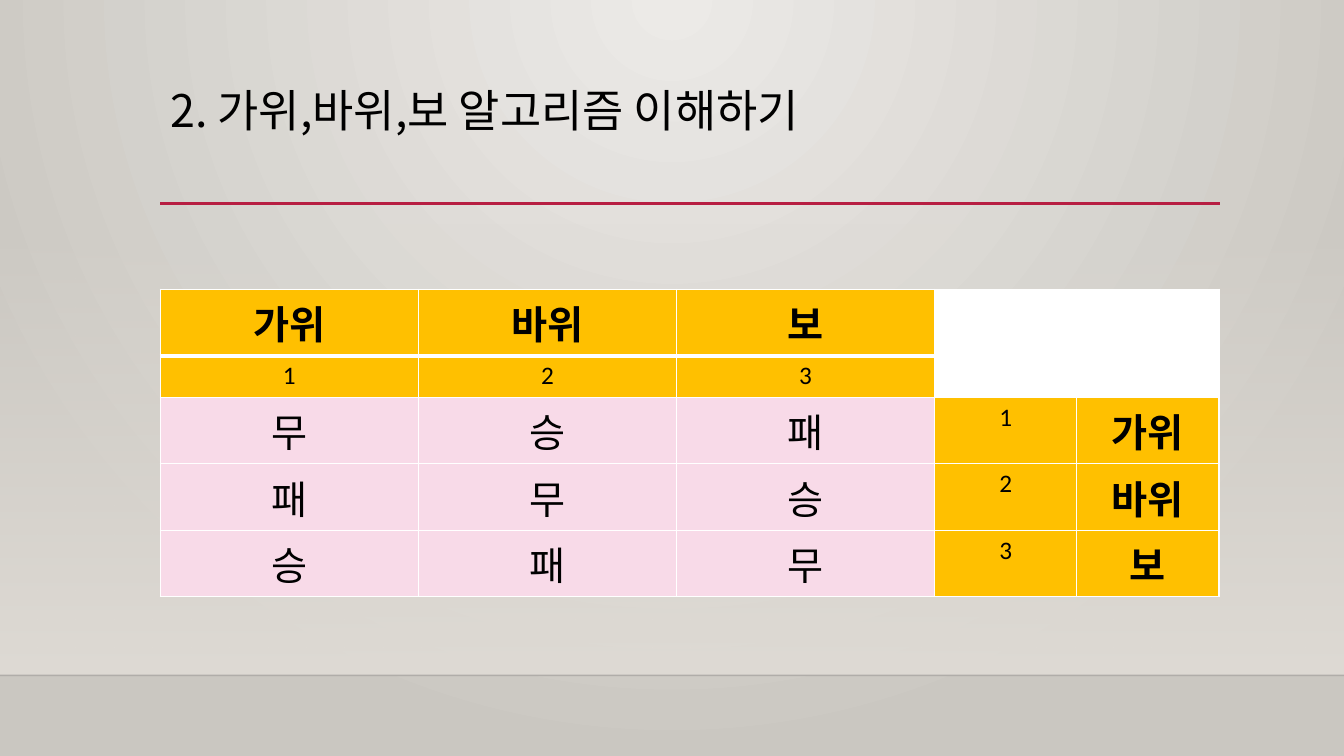
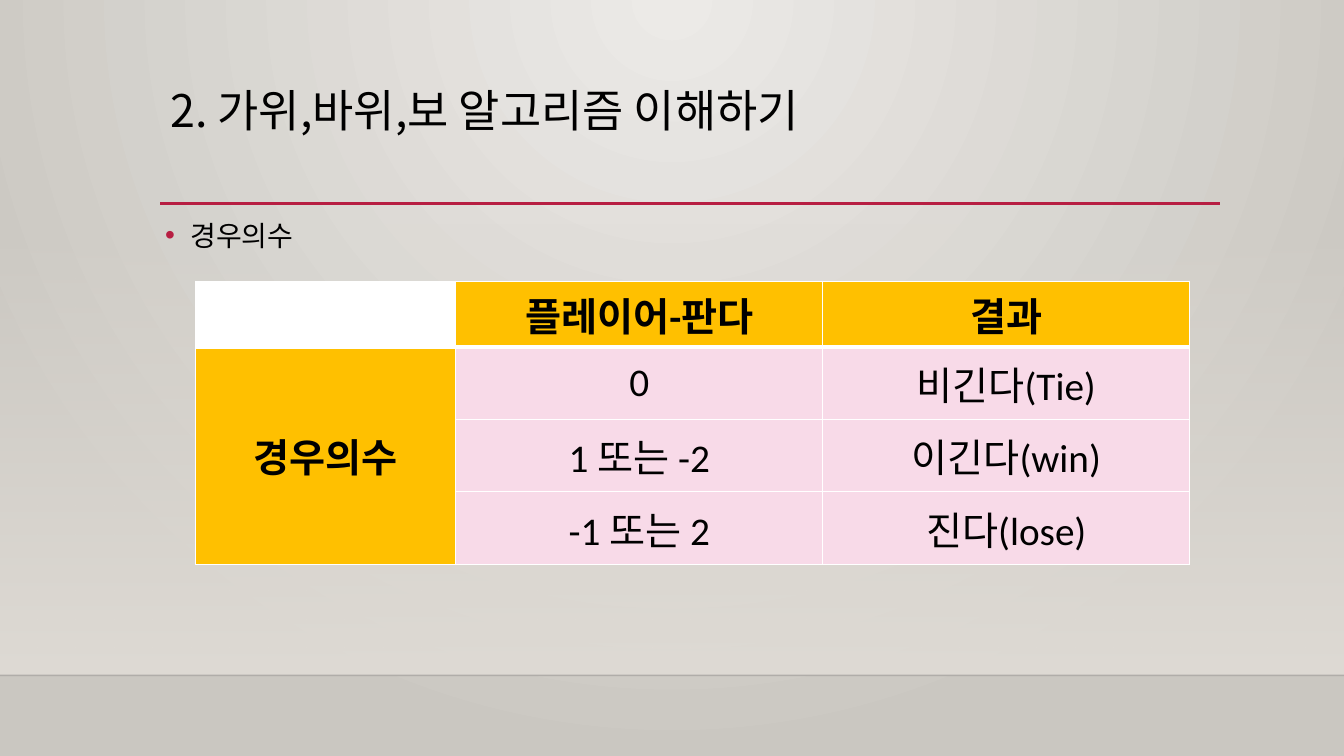
from dataclasses import dataclass

from lxml.etree import SubElement
from pptx import Presentation
from pptx.dml.color import RGBColor
from pptx.enum.shapes import MSO_CONNECTOR, MSO_SHAPE
from pptx.enum.text import MSO_ANCHOR, PP_ALIGN
from pptx.oxml import parse_xml
from pptx.oxml.ns import nsdecls, qn
from pptx.util import Inches, Pt


@dataclass(frozen=True)
class Theme:
    ink: str = "000000"
    edge: str = "000001"
    white: str = "FFFFFF"
    accent: str = "B71E42"
    gold: str = "FFC000"
    pink: str = "F8DAE8"
    glow: str = "ECEAE7"
    shade: str = "CAC7C1"
    haze: str = "DFDBD5"
    korean: str = "Noto Sans CJK KR"
    latin: str = "Calibri"
    title_size: int = 32
    cell_size: int = 28
    bullet_size: int = 20
    number_size: int = 18


def gradient(stops, direction):
    stop_xml = "".join(
        f'<a:gs pos="{pos * 1000}"><a:srgbClr val="{color}">'
        f'<a:alpha val="{alpha * 1000}"/></a:srgbClr></a:gs>'
        for pos, color, alpha in stops
    )
    return parse_xml(
        f'<a:gradFill {nsdecls("a")} rotWithShape="1">'
        f"<a:gsLst>{stop_xml}</a:gsLst>{direction}</a:gradFill>"
    )


def swap_gradient(fill, properties, stops, direction):
    fill.gradient()
    current = properties.find(qn("a:gradFill"))
    properties.replace(current, gradient(stops, direction))


class Deck:
    def __init__(self, theme):
        self.theme = theme
        self.prs = Presentation()
        self.prs.slide_width = Inches(13.33)
        self.prs.slide_height = Inches(7.5)
        self.slide = None
        self.cell_styles = {
            "head": (theme.gold, theme.cell_size, True),
            "number": (theme.gold, theme.number_size, False),
            "body": (theme.pink, theme.cell_size, False),
            "empty": (theme.white, theme.cell_size, False),
        }
        background = self.prs.slide_master.background
        fill = background.fill
        fill.solid()
        swap_gradient(
            fill,
            self.prs.slide_master.element.cSld.find(qn("p:bg")).find(qn("p:bgPr")),
            [(0, theme.glow, 100), (100, theme.shade, 100)],
            '<a:path path="circle"><a:fillToRect l="43000" t="0" r="43000" b="100000"/></a:path>',
        )

    def add_slide(self, title):
        self.slide = self.prs.slides.add_slide(self.prs.slide_layouts[6])
        self.haze_band()
        self.rule(0, 13.33, 6.7, self.theme.edge, 1, 20)
        self.rule(1.59, 12.1, 2.02, self.theme.accent, 2.5)
        self.title(title)

    def haze_band(self):
        band = self.slide.shapes.add_shape(
            MSO_SHAPE.RECTANGLE, 0, Inches(2.21), Inches(13.33), Inches(4.49)
        )
        band.shadow.inherit = False
        band.line.fill.background()
        haze = self.theme.haze
        swap_gradient(
            band.fill,
            band.element.spPr,
            [(0, haze, 0), (100, haze, 100)],
            '<a:lin ang="5400000" scaled="0"/>',
        )

    def rule(self, left, right, y, color, width, opacity=100):
        line = self.slide.shapes.add_connector(
            MSO_CONNECTOR.STRAIGHT, Inches(left), Inches(y), Inches(right), Inches(y)
        )
        line.line.width = Pt(width)
        line.line.color.rgb = RGBColor.from_string(color)
        properties = line.element.spPr
        tint = next(properties.iter(qn("a:srgbClr")))
        SubElement(tint, qn("a:alpha")).set("val", str(opacity * 1000))
        SubElement(properties, qn("a:effectLst"))

    def text_frame(self, left, top, width, height):
        frame = self.slide.shapes.add_textbox(
            Inches(left), Inches(top), Inches(width), Inches(height)
        ).text_frame
        frame.word_wrap = True
        return frame

    def run(self, paragraph, text, size, font, bold=False):
        run = paragraph.add_run()
        run.text = text
        run.font.size = Pt(size)
        run.font.bold = bold
        run.font.color.rgb = RGBColor.from_string(self.theme.ink)
        run.font.name = font
        east_asian = SubElement(run.font._element, qn("a:ea"))
        east_asian.set("typeface", self.theme.korean)

    def title(self, text):
        frame = self.text_frame(1.59, 0.88, 10.5, 1.15)
        frame.margin_top = 0
        paragraph = frame.paragraphs[0]
        paragraph.line_spacing = 0.9
        self.run(paragraph, text, self.theme.title_size, self.theme.korean)

    def bullet(self, text):
        paragraph = self.text_frame(1.54, 2.05, 10.5, 3.77).paragraphs[0]
        paragraph.line_spacing = 1.2
        properties = paragraph._p.get_or_add_pPr()
        properties.set("marL", str(Inches(0.25)))
        properties.set("indent", str(-Inches(0.25)))
        color = SubElement(properties, qn("a:buClr"))
        SubElement(color, qn("a:srgbClr")).set("val", self.theme.accent)
        SubElement(properties, qn("a:buFont")).set("typeface", "Arial")
        SubElement(properties, qn("a:buChar")).set("char", "•")
        self.run(paragraph, text, self.theme.bullet_size, self.theme.korean)

    def borders(self, cell, row_index):
        properties = cell._tc.get_or_add_tcPr()
        widths = {
            "lnL": 1,
            "lnR": 1,
            "lnT": 3 if row_index == 1 else 1,
            "lnB": 3 if row_index == 0 else 1,
        }
        for side, width in widths.items():
            border = SubElement(properties, qn(f"a:{side}"))
            border.set("w", str(Pt(width)))
            solid = SubElement(border, qn("a:solidFill"))
            SubElement(solid, qn("a:srgbClr")).set("val", self.theme.white)

    def table(self, left, top, widths, heights, rows, anchor):
        table = self.slide.shapes.add_table(
            len(rows), len(widths), Inches(left), Inches(top),
            Inches(sum(widths)), Inches(sum(heights)),
        ).table
        table.horz_banding = False
        for column, width in zip(table.columns, widths):
            column.width = Inches(width)
        for row_index, (height, row) in enumerate(zip(heights, rows)):
            table.rows[row_index].height = Inches(height)
            for column_index, (style, text) in enumerate(row):
                cell = table.cell(row_index, column_index)
                color, size, bold = self.cell_styles[style]
                self.borders(cell, row_index)
                cell.fill.solid()
                cell.fill.fore_color.rgb = RGBColor.from_string(color)
                cell.vertical_anchor = anchor
                if text:
                    paragraph = cell.text_frame.paragraphs[0]
                    paragraph.alignment = PP_ALIGN.CENTER
                    self.run(paragraph, text, size, self.theme.latin, bold)
        return table


def styled(style, texts):
    return [(style, text) for text in texts]


def main():
    deck = Deck(Theme())
    title = "2. 가위,바위,보 알고리즘 이해하기"
    hands = ["가위", "바위", "보"]
    numbers = ["1", "2", "3"]
    outcomes = ["무", "승", "패"]
    corner = styled("empty", ["", ""])

    deck.add_slide(title)
    matchups = [styled("head", hands) + corner, styled("number", numbers) + corner]
    for index, (number, hand) in enumerate(zip(numbers, hands)):
        results = [outcomes[(column - index) % 3] for column in range(3)]
        matchups.append(
            styled("body", results) + [("number", number), ("head", hand)]
        )
    deck.table(
        1.59, 2.87, [2.56] * 3 + [1.41] * 2, [0.66, 0.41] + [0.66] * 3,
        matchups, MSO_ANCHOR.TOP,
    )

    deck.add_slide(title)
    cases = [
        ("경우의수", "0", "비긴다(Tie)"),
        ("", "1 또는 -2", "이긴다(win)"),
        ("", "-1 또는 2", "진다(lose)"),
    ]
    case_rows = [[("empty", "")] + styled("head", ["플레이어-판다", "결과"])]
    case_rows += [
        [("head", label)] + styled("body", [difference, result])
        for label, difference, result in cases
    ]
    case_table = deck.table(
        1.94, 2.79, [2.58, 3.64, 3.64], [0.65] + [0.72] * 3,
        case_rows, MSO_ANCHOR.MIDDLE,
    )
    case_table.cell(1, 0).merge(case_table.cell(3, 0))
    deck.bullet("경우의수")

    deck.prs.save("out.pptx")


if __name__ == "__main__":
    main()
